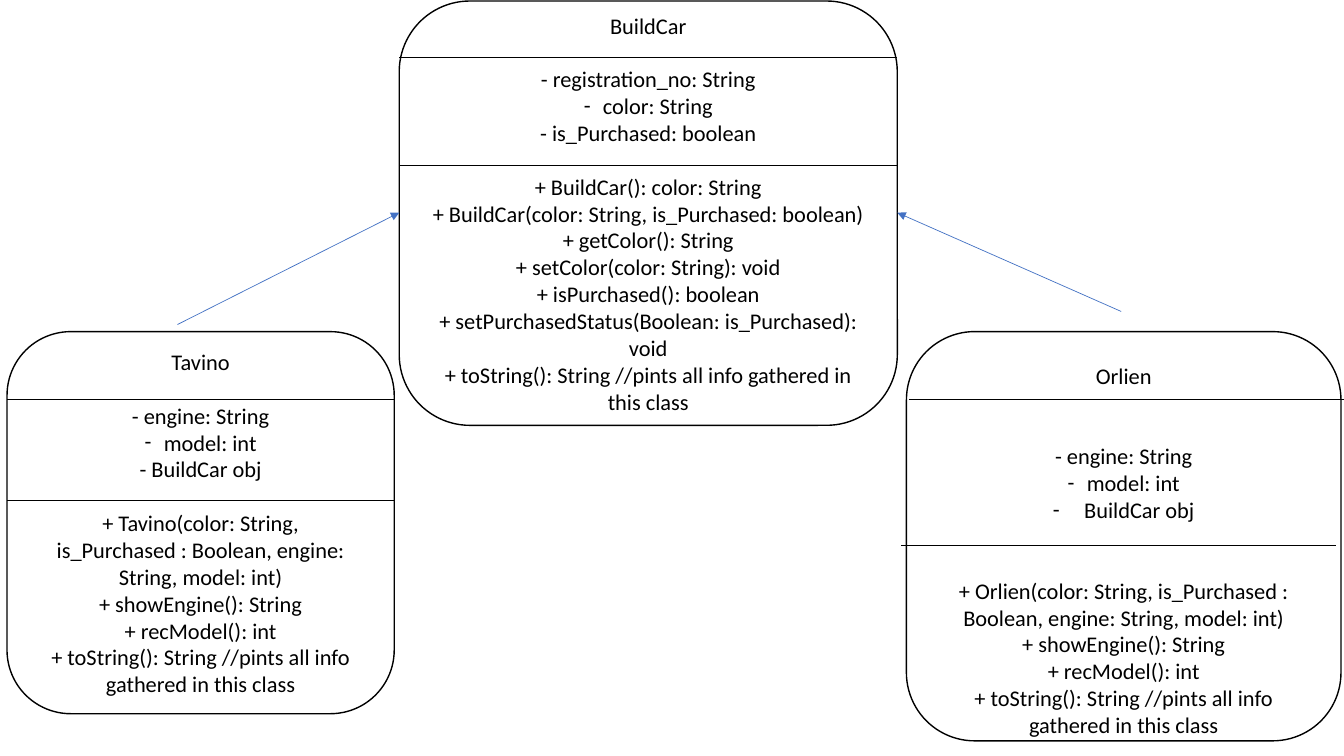
"""Build a class diagram slide with a parent class and two child classes."""
import pptx
import pptx.dml.color
import pptx.enum.shapes
import pptx.enum.text
import pptx.oxml
import pptx.oxml.ns
import pptx.util

Inches = pptx.util.Inches
Pt = pptx.util.Pt
BLACK = pptx.dml.color.RGBColor(0, 0, 0)
BLUE = pptx.dml.color.RGBColor(0x44, 0x72, 0xC4)
FONT = "Calibri"
SIZE = Pt(16)
ROW = 19.2
INFO = "+ toString(): String //pints all info gathered in this class"
SHARED = ["+ showEngine(): String", "+ recModel(): int", INFO]


def add_node(parent, tag, **attrs):
    """Append an empty DrawingML element to parent."""
    node = pptx.oxml.parse_xml(f"<a:{tag} {pptx.oxml.ns.nsdecls('a')}/>")
    for key, value in attrs.items():
        node.set(key, value)
    parent.append(node)


def add_line(shapes, start, end, color, arrow=False):
    """Draw a thin line, with an arrowhead at its end if asked."""
    line = shapes.add_connector(
        pptx.enum.shapes.MSO_CONNECTOR.STRAIGHT,
        *map(Inches, start), *map(Inches, end))
    line.line.color.rgb = color
    line.line.width = Pt(0.5)
    if arrow:
        add_node(line.line._get_or_add_ln(), "tailEnd", type="triangle")
    add_node(line._element.spPr, "effectLst")


def add_dash(para, indent):
    """Give a paragraph a hanging dash bullet."""
    props = para._p.get_or_add_pPr()
    props.set("marL", str(Inches(indent)))
    props.set("indent", str(-Inches(indent)))
    add_node(props, "buFont", typeface=FONT)
    add_node(props, "buChar", char="-")


def add_text(frame, parts, gap, dashes):
    """Write the parts of a class, set apart by gap rows."""
    frame.text = "\n".join(row for part in parts for row in part)
    paras = iter(frame.paragraphs)
    for part in parts:
        for index, row in enumerate(part):
            para = next(paras)
            para.alignment = pptx.enum.text.PP_ALIGN.CENTER
            if index == 0 and part is not parts[0]:
                para.space_before = Pt(gap * ROW)
            if row in dashes:
                add_dash(para, dashes[row])
            font = para.runs[0].font
            font.name, font.size, font.color.rgb = FONT, SIZE, BLACK


def add_class(slide, box, rules, parts, dashes, gap=1, top=0.05):
    """Draw a class box with its text and dividing lines."""
    shapes = slide.shapes.add_group_shape().shapes
    shape = shapes.add_shape(
        pptx.enum.shapes.MSO_SHAPE.ROUNDED_RECTANGLE, *map(Inches, box))
    shape.shadow.inherit = False
    shape.fill.background()
    shape.line.color.rgb = BLACK
    shape.line.width = Pt(1)
    frame = shape.text_frame
    frame.word_wrap = True
    frame.vertical_anchor = pptx.enum.text.MSO_ANCHOR.MIDDLE
    frame.margin_top = Inches(top)
    add_text(frame, parts, gap, dashes)
    for left, y in rules:
        add_line(shapes, (left, y), (left + box[2], y), BLACK)


def main():
    """Build and save the slide."""
    deck = pptx.Presentation()
    deck.slide_width, deck.slide_height = Inches(13.33), Inches(7.5)
    slide = deck.slides.add_slide(deck.slide_layouts[6])
    add_class(
        slide, (0.07, 3.29, 3.84, 3.79), [(0.07, 3.96), (0.07, 4.96)],
        [["Tavino"],
         ["- engine: String", "model: int", "- BuildCar obj"],
         ["+ Tavino(color: String, is_Purchased : Boolean, "
          "engine: String, model: int)", *SHARED]],
        {"model: int": 0.19})
    add_class(
        slide, (3.96, 0.01, 4.94, 4.21), [(3.96, 0.57), (3.96, 1.64)],
        [["BuildCar"],
         ["- registration_no: String", "color: String",
          "- is_Purchased: boolean"],
         ["+ BuildCar(): color: String",
          "+ BuildCar(color: String, is_Purchased: boolean)",
          "+ getColor(): String", "+ setColor(color: String): void",
          "+ isPurchased(): boolean",
          "+ setPurchasedStatus(Boolean: is_Purchased): void", INFO]],
        {"color: String": 0.19})
    add_class(
        slide, (8.99, 3.29, 4.31, 4.06), [(9.02, 3.96), (8.94, 5.41)],
        [["Orlien"],
         ["- engine: String", "model: int", "BuildCar obj"],
         ["+ Orlien(color: String, is_Purchased : Boolean, "
          "engine: String, model: int)", *SHARED]],
        {"model: int": 0.19, "BuildCar obj": 0.31}, gap=2, top=0.32)
    add_line(slide.shapes, (1.76, 3.22), (3.96, 2.11), BLUE, arrow=True)
    add_line(slide.shapes, (11.12, 3.09), (8.9, 2.11), BLUE, arrow=True)
    deck.save("out.pptx")


main()
